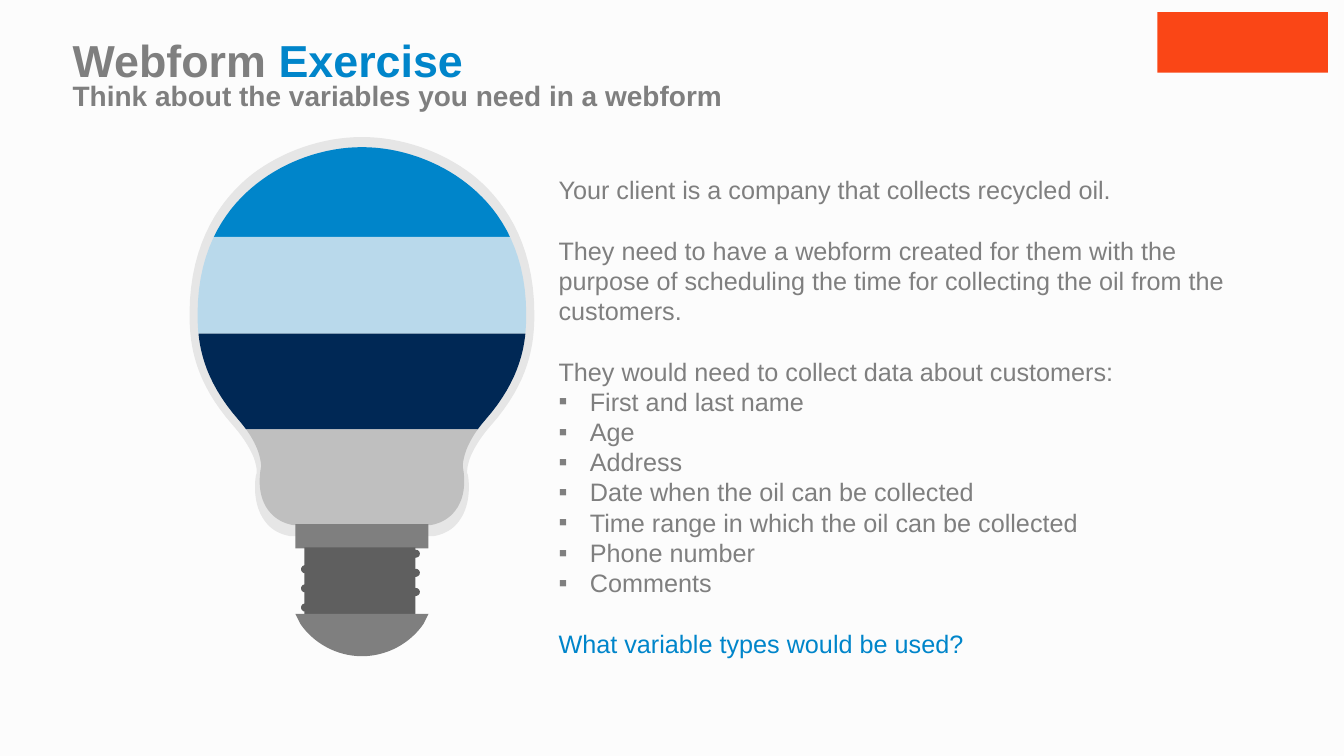
"""Build the webform exercise slide with its banded light bulb."""
from lxml import etree
from pptx import Presentation
from pptx.dml.color import RGBColor
from pptx.enum import shapes, text
from pptx.oxml import ns
from pptx.util import Inches, Pt

PAPER = RGBColor(0xFC, 0xFC, 0xFC)
GREY = RGBColor(0x7F, 0x7F, 0x7F)
DARK_GREY = RGBColor(0x5F, 0x5F, 0x5F)
MID_GREY = RGBColor(0xBF, 0xBF, 0xBF)
GLASS = RGBColor(0xE6, 0xE6, 0xE6)
BLUE = RGBColor(0x00, 0x85, 0xCA)
PALE_BLUE = RGBColor(0xB9, 0xD9, 0xEB)
NAVY = RGBColor(0x00, 0x28, 0x55)
ORANGE = RGBColor(0xFA, 0x46, 0x16)

FONT = "Arial"
BULB_AXIS = 3.59
LINE_PITCH = 21.6

GLASS_EDGE = [
    (0, 1.36), (0.39, 1.36), (0.79, 1.5), (1.09, 1.73),
    (1.37, 1.95), (1.71, 2.37), (1.71, 3.12),
    (1.71, 3.42), (1.66, 3.79), (1.28, 4.22),
    (1.14, 4.38), (1.08, 4.51), (1.06, 4.58),
    (1.04, 4.65), (1.04, 4.7), (1.05, 4.71),
    (1.06, 4.76), (1.09, 4.99), (0.97, 5.16),
    (0.91, 5.25), (0.82, 5.3), (0.71, 5.32),
]
INNER_EDGE = [
    (0, 1.46), (0.38, 1.46), (0.76, 1.6), (1.04, 1.82),
    (1.31, 2.03), (1.63, 2.42), (1.63, 3.12),
    (1.63, 3.41), (1.58, 3.76), (1.22, 4.17),
    (1.09, 4.32), (1.04, 4.44), (1.02, 4.51),
    (1, 4.58), (1, 4.62), (1, 4.63),
    (1.01, 4.68), (1.05, 4.9), (0.93, 5.06),
    (0.87, 5.14), (0.79, 5.19), (0.68, 5.21),
]
CAP_EDGE = [(0.61, 6.19), (0.48, 6.38), (0.25, 6.51), (0, 6.51)]
BANDS = [(1.46, 2.35, BLUE), (2.35, 3.31, PALE_BLUE),
         (3.31, 4.26, NAVY), (4.26, 5.21, MID_GREY)]

INTRO = [
    ("Your client is a company that collects recycled oil.", 1),
    ("They need to have a webform created for them with the purpose of "
     "scheduling the time for collecting the oil from the customers.", 1),
    ("They would need to collect data about customers:", 0),
]
FIELDS = ["First and last name", "Age", "Address",
          "Date when the oil can be collected",
          "Time range in which the oil can be collected",
          "Phone number", "Comments"]
QUESTION = "What variable types would be used?"


def curve(controls, steps=16):
    """Return points along a chain of cubic Bezier segments."""
    points = [controls[0]]
    for start in range(0, len(controls) - 1, 3):
        segment = controls[start:start + 4]
        for step in range(1, steps + 1):
            t = step / steps
            weights = ((1 - t) ** 3, 3 * t * (1 - t) ** 2,
                       3 * t * t * (1 - t), t ** 3)
            points.append(tuple(sum(w * p[axis] for w, p in zip(weights, segment))
                                for axis in (0, 1)))
    return points


def half_width(edge, y):
    """Return the distance from the axis to the edge at height y."""
    for (x0, y0), (x1, y1) in zip(edge, edge[1:]):
        if y0 <= y <= y1 and y1 > y0:
            return x0 + (x1 - x0) * (y - y0) / (y1 - y0)
    return edge[-1][0]


def slice_edge(edge, top, bottom):
    """Return the part of the edge between two heights."""
    inside = [point for point in edge if top < point[1] < bottom]
    return [(half_width(edge, top), top), *inside, (half_width(edge, bottom), bottom)]


def paint(shape, color):
    """Give a shape a flat fill with no line or shadow."""
    shape.fill.solid()
    shape.fill.fore_color.rgb = color
    shape.line.fill.background()
    shape.shadow.inherit = False


def add_symmetric(parent, edge, color):
    """Draw the outline made by an edge and its mirror about the bulb axis."""
    right = [(Inches(BULB_AXIS + x), Inches(y)) for x, y in edge]
    left = [(Inches(BULB_AXIS - x), Inches(y)) for x, y in reversed(edge)]
    builder = parent.build_freeform(*right[0], scale=1.0)
    builder.add_line_segments(right[1:] + left, close=True)
    paint(builder.convert_to_shape(), color)


def add_block(parent, kind, left, top, width, height, color):
    """Draw a flat preset shape and return it."""
    block = parent.add_shape(kind, Inches(left), Inches(top), Inches(width), Inches(height))
    paint(block, color)
    return block


def add_bulb(slide):
    """Draw the light bulb with its coloured bands and screw base."""
    bulb = slide.shapes.add_group_shape().shapes
    preset = shapes.MSO_SHAPE
    add_symmetric(bulb, curve(GLASS_EDGE), GLASS)
    inner = curve(INNER_EDGE)
    for top, bottom, color in BANDS:
        add_symmetric(bulb, slice_edge(inner, top, bottom), color)
    add_block(bulb, preset.RECTANGLE, 2.93, 5.2, 1.32, 0.24, GREY)
    add_block(bulb, preset.RECTANGLE, 3.02, 5.43, 1.1, 0.66, DARK_GREY)
    for turn in range(3):
        thread = add_block(bulb, preset.ROUNDED_RECTANGLE,
                           2.98, 5.53 + 0.19 * turn, 1.19, 0.08, DARK_GREY)
        thread.adjustments[0] = 0.5
        thread.rotation = -8
    add_symmetric(bulb, [(0.66, 6.09), *curve(CAP_EDGE)], GREY)


def place(holder, left, top, width, height):
    """Position a placeholder and return its top-anchored text frame."""
    holder.left, holder.top = Inches(left), Inches(top)
    holder.width, holder.height = Inches(width), Inches(height)
    frame = holder.text_frame
    frame.word_wrap = True
    frame.auto_size = text.MSO_AUTO_SIZE.NONE
    frame.vertical_anchor = text.MSO_ANCHOR.TOP
    return frame


def style_run(run, size, color, bold=False):
    """Set the font of a run."""
    run.font.name, run.font.size, run.font.bold = FONT, Pt(size), bold
    run.font.color.rgb = color


def set_bullet(paragraph, marked):
    """Give a paragraph a square bullet, or none."""
    props = paragraph._p.get_or_add_pPr()
    indent = Inches(0.31) if marked else 0
    props.set("marL", str(indent))
    props.set("indent", str(-indent))
    if marked:
        color = etree.SubElement(props, ns.qn("a:buClr"))
        etree.SubElement(color, ns.qn("a:srgbClr")).set("val", str(GREY))
        etree.SubElement(props, ns.qn("a:buFont")).set("typeface", FONT)
        etree.SubElement(props, ns.qn("a:buChar")).set("char", "▪")
    else:
        etree.SubElement(props, ns.qn("a:buNone"))


def fill_title(holder):
    """Write the two-colour heading and its second line."""
    frame = place(holder, 0.62, 0.27, 10.37, 0.86)
    heading, prompt = frame.paragraphs[0], frame.add_paragraph()
    for words, color in (("Webform", GREY), (" Exercise", BLUE)):
        run = heading.add_run()
        run.text = words
        style_run(run, 32, color, True)
    prompt.text = "Think about the variables you need in a webform"
    prompt.line_spacing = 0.75
    style_run(prompt.runs[0], 20, GREY, True)
    for paragraph in frame.paragraphs:
        paragraph.alignment = text.PP_ALIGN.LEFT


def fill_body(holder):
    """Write the client brief, the list of fields and the question."""
    frame = place(holder, 5.44, 1.68, 6.97, 4.95)
    lines = [(words, gap, False, GREY) for words, gap in INTRO]
    lines += [(field, int(field == FIELDS[-1]), True, GREY) for field in FIELDS]
    lines.append((QUESTION, 0, False, BLUE))
    for number, (words, gap, marked, color) in enumerate(lines):
        paragraph = frame.add_paragraph() if number else frame.paragraphs[0]
        paragraph.text = words
        set_bullet(paragraph, marked)
        paragraph.line_spacing = Pt(LINE_PITCH)
        paragraph.space_before = Pt(0)
        paragraph.space_after = Pt(LINE_PITCH * gap)
        style_run(paragraph.runs[0], 18, color)


def main():
    """Build and save the slide."""
    deck = Presentation()
    deck.slide_width, deck.slide_height = Inches(13.33), Inches(7.5)
    slide = deck.slides.add_slide(deck.slide_layouts[1])
    slide.background.fill.solid()
    slide.background.fill.fore_color.rgb = PAPER
    add_bulb(slide)
    fill_title(slide.shapes.title)
    fill_body(slide.placeholders[1])
    add_block(slide.shapes, shapes.MSO_SHAPE.RECTANGLE, 11.48, 0.12, 1.69, 0.6, ORANGE)
    deck.save("out.pptx")


if __name__ == "__main__":
    main()
